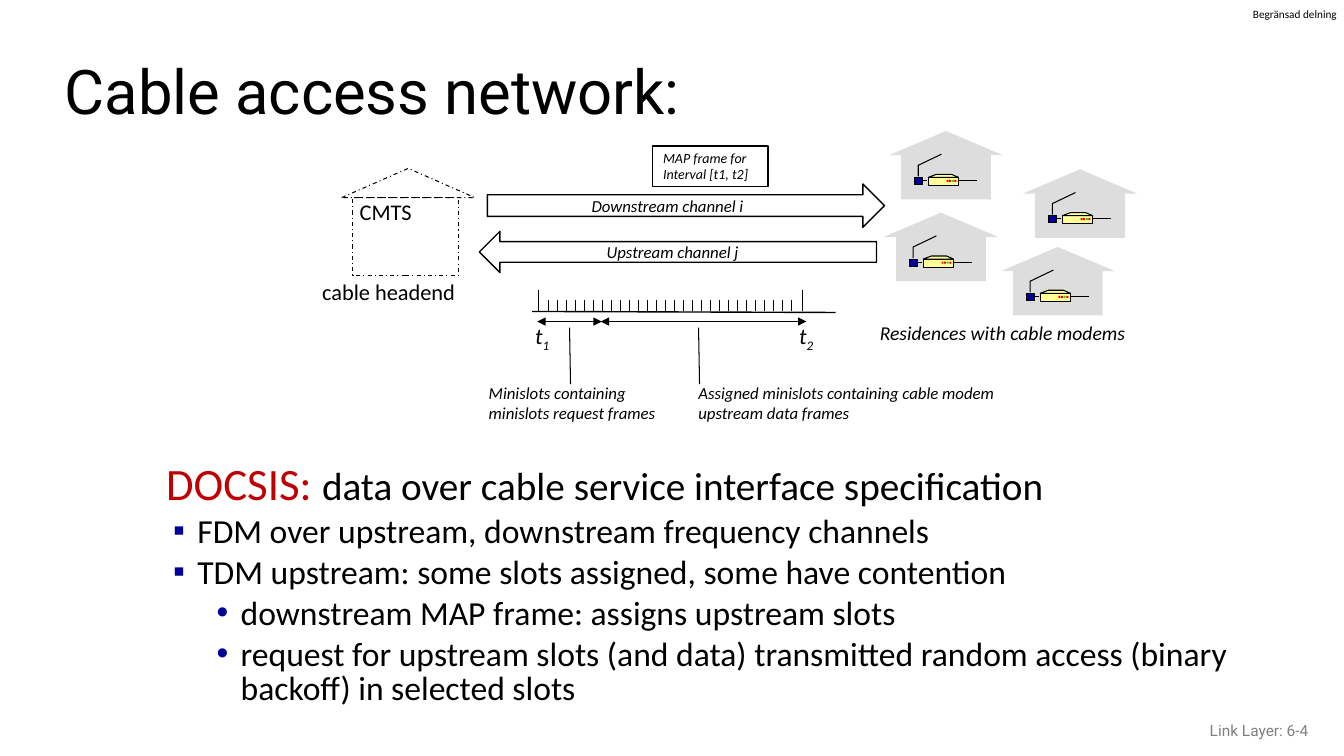
from dataclasses import dataclass

from lxml.etree import SubElement
from pptx import Presentation
from pptx.dml.color import RGBColor
from pptx.enum.dml import MSO_LINE
from pptx.enum.shapes import MSO_CONNECTOR, MSO_SHAPE
from pptx.enum.text import MSO_ANCHOR, MSO_AUTO_SIZE as FIT, PP_ALIGN as ALIGN
from pptx.oxml.ns import qn
from pptx.util import Inches, Pt

COLUMNS, ROWS = 133.33, 75


@dataclass(frozen=True)
class Theme:
    """Colours, fonts and type sizes of the slide."""
    black: str = "000000"
    grey: str = "808080"
    house: str = "DDDDDD"
    modem: str = "FFFF99"
    red: str = "FF0000"
    green: str = "33CC33"
    navy: str = "000099"
    accent: str = "C00000"
    heading_font: str = "Roboto"
    body_font: str = "Calibri"
    title: int = 44
    term: int = 32
    lead: int = 28
    body: int = 24
    label: int = 16
    caption: int = 14
    note: int = 12
    footer: int = 11
    frame: int = 10
    tag: int = 8
    thin: float = 0.75
    medium: float = 1


THEME = Theme()


def grid(value):
    """Convert grid cells, a tenth of an inch each, to a length."""
    return Inches(value / 10)


def colour(code):
    """Return the colour of a hex code."""
    return RGBColor.from_string(code)


def style(run, size, code=THEME.black, italic=False, font=THEME.body_font):
    """Format one run."""
    run.font.size = Pt(size)
    run.font.name = font
    run.font.italic = italic
    run.font.color.rgb = colour(code)


def add_text(shapes, at, text, size, code=THEME.black, italic=True, wrap=False,
             align=ALIGN.LEFT, spacing=None, font=THEME.body_font):
    """Add a text box with one format for all its lines."""
    shape = shapes.add_textbox(*map(grid, at))
    frame = shape.text_frame
    frame.text = text
    frame.word_wrap = wrap
    frame.auto_size = FIT.SHAPE_TO_FIT_TEXT
    for paragraph in frame.paragraphs:
        paragraph.alignment = align
        if spacing:
            paragraph.line_spacing = spacing
        for run in paragraph.runs:
            style(run, size, code, italic, font)
    return shape


def paint(shape, fill=None, width=None, dash=None):
    """Set the fill and outline of a shape and drop its shadow."""
    shape.shadow.inherit = False
    if fill:
        shape.fill.solid()
        shape.fill.fore_color.rgb = colour(fill)
    else:
        shape.fill.background()
    if width:
        shape.line.color.rgb = colour(THEME.black)
        shape.line.width = Pt(width)
        shape.line.dash_style = dash
    else:
        shape.line.fill.background()


def add_box(shapes, kind, at, **look):
    """Add a preset shape."""
    paint(shapes.add_shape(kind, *map(grid, at)), **look)


def add_path(shapes, points, closed=False, **look):
    """Add an outline through the given points."""
    corners = [tuple(map(grid, point)) for point in points]
    builder = shapes.build_freeform(*corners[0])
    builder.add_line_segments(corners[1:], close=closed)
    paint(builder.convert_to_shape(), **look)


def add_line(shapes, start, end, width=THEME.thin, arrows=False):
    """Add a straight line, with arrowheads at both ends if asked."""
    line = shapes.add_connector(MSO_CONNECTOR.STRAIGHT,
                                *map(grid, start + end))
    line.line.color.rgb = colour(THEME.black)
    line.line.width = Pt(width)
    if arrows:
        for tag in ("a:headEnd", "a:tailEnd"):
            SubElement(line.line._get_or_add_ln(), qn(tag), type="triangle")
    SubElement(line._element.spPr, qn("a:effectLst"))


def add_residence(slide, x, y):
    """Add a house with an antenna and a cable modem."""
    shapes = slide.shapes.add_group_shape().shapes
    add_box(shapes, MSO_SHAPE.ISOSCELES_TRIANGLE, (x, y, 11.3, 2.4),
            fill=THEME.house)
    add_box(shapes, MSO_SHAPE.RECTANGLE, (x + 1.2, y + 2.1, 8.9, 4.7),
            fill=THEME.house)
    for left, right in ((2.6, 3.8), (6.8, 8.7)):
        add_line(shapes, (x + left, y + 4.9), (x + right, y + 4.9))
    add_box(shapes, MSO_SHAPE.RECTANGLE, (x + 3.9, y + 4.6, 3, 0.8),
            fill=THEME.modem, width=THEME.thin)
    lamps = (THEME.red, THEME.red, THEME.green, THEME.red)
    for index, lamp in enumerate(lamps):
        add_box(shapes, MSO_SHAPE.RECTANGLE,
                (x + 5.7 + 0.26 * index, y + 4.85, 0.2, 0.2), fill=lamp)
    add_path(shapes, [(x + 3.9, y + 4.6), (x + 4.7, y + 4.3),
                      (x + 6.2, y + 4.3), (x + 6.9, y + 4.6)],
             closed=True, fill=THEME.modem, width=THEME.thin)
    add_box(shapes, MSO_SHAPE.RECTANGLE, (x + 2.5, y + 4.6, 0.8, 0.7),
            fill=THEME.navy, width=THEME.thin)
    add_path(shapes, [(x + 2.9, y + 4.5), (x + 2.9, y + 3.4),
                      (x + 5.2, y + 2.3)], width=THEME.thin)


def add_headend(slide):
    """Add the dashed house of the cable headend."""
    shapes = slide.shapes
    look = dict(width=THEME.thin, dash=MSO_LINE.DASH_DOT)
    add_box(shapes, MSO_SHAPE.RECTANGLE, (35, 19.6, 10.5, 7.7), **look)
    add_box(shapes, MSO_SHAPE.ISOSCELES_TRIANGLE, (33.9, 16.7, 13.2, 2.9), **look)
    add_text(shapes, (34.7, 19.2, 10.4, 3.7), "CMTS", THEME.label,
             italic=False, wrap=True)
    add_text(shapes, (28, 27.6, 21.1, 3.2), "cable headend", THEME.label,
             italic=False, wrap=True, align=ALIGN.CENTER, spacing=0.8)


def add_channels(slide):
    """Add the two channel arrows and the MAP frame."""
    shapes = slide.shapes
    add_box(shapes, MSO_SHAPE.RIGHT_ARROW, (48.35, 18.25, 39.4, 4.3),
            width=THEME.medium)
    add_box(shapes, MSO_SHAPE.LEFT_ARROW, (47.55, 22.95, 39.4, 4.1),
            width=THEME.medium)
    add_text(shapes, (57.7, 18.9, 17.3, 3), "Downstream channel i", THEME.note)
    add_text(shapes, (59.2, 23.5, 15.3, 3), "Upstream channel j", THEME.note)
    add_box(shapes, MSO_SHAPE.RECTANGLE, (64.7, 14.5, 11.5, 4),
            width=THEME.medium)
    add_text(shapes, (64.8, 14.3, 10.6, 4.4), "MAP frame for\nInterval [t1, t2]",
             THEME.frame, spacing=Pt(12))


def add_timeline(slide):
    """Add the row of minislots with its labels."""
    shapes = slide.shapes.add_group_shape().shapes
    axis, first, last, count = 30.9, 54.4, 78.5, 28
    add_line(shapes, (52.8, axis), (82.9, axis + 0.1), THEME.medium)
    for x in (53.4, 79.6):
        add_line(shapes, (x, 28.8), (x, axis), THEME.medium)
    for slot in range(count):
        x = first + slot * (last - first) / (count - 1)
        add_line(shapes, (x, 29.8), (x, axis), THEME.medium)
    for start, end in ((53.3, 59.7), (59.6, 80)):
        add_line(shapes, (start, 31.9), (end, 31.9), arrows=True)
    for x in (56.5, 69.3):
        add_line(shapes, (x, 32.5), (x + 0.1, 38.1))
    for x, number in ((52.1, "1"), (78.3, "2")):
        label = add_text(shapes, (x, 31.5, 3.5, 3.7), "t", THEME.label)
        subscript = label.text_frame.paragraphs[0].add_run()
        subscript.text = number
        style(subscript, THEME.label, italic=True)
        subscript._r.get_or_add_rPr().set("baseline", "-25000")
    add_text(shapes, (68.3, 37.5, 31.7, 5),
             "Assigned minislots containing cable modem\nupstream data frames",
             THEME.note)
    add_text(shapes, (47.5, 37.5, 18.7, 5),
             "Minislots containing\nminislots request frames", THEME.note)


def add_bullet(paragraph, level):
    """Give a paragraph the bullet and indent of its level."""
    properties = paragraph._p.get_or_add_pPr()
    properties.set("marL", str(grid((3.1, 7.4)[level])))
    properties.set("indent", str(grid(-2.4)))
    bullet_colour = SubElement(properties, qn("a:buClr"))
    SubElement(bullet_colour, qn("a:srgbClr"), val=THEME.navy)
    SubElement(properties, qn("a:buFont"), typeface="Arial")
    SubElement(properties, qn("a:buChar"), char="▪•"[level])
    paragraph.level = level


def add_body(slide):
    """Add the definition of DOCSIS and its bullets."""
    frame = slide.shapes.add_textbox(*map(grid, (15.5, 45.5, 108.7, 25))).text_frame
    frame.word_wrap = True
    heading = frame.paragraphs[0]
    heading.line_spacing = 0.85
    for text, size, code in (
            ("DOCSIS: ", THEME.term, THEME.accent),
            ("data over cable service interface specification", THEME.lead, THEME.black)):
        run = heading.add_run()
        run.text = text
        style(run, size, code)
    for level, text in (
            (0, "FDM over upstream, downstream frequency channels"),
            (0, "TDM upstream: some slots assigned, some have contention"),
            (1, "downstream MAP frame: assigns upstream slots"),
            (1, "request for upstream slots (and data) transmitted random access "
                "(binary backoff) in selected slots")):
        paragraph = frame.add_paragraph()
        add_bullet(paragraph, level)
        paragraph.text = text
        paragraph.line_spacing = 0.85
        paragraph.space_before = Pt(0.2 * THEME.body)
        style(paragraph.runs[0], THEME.body)


def add_title(slide):
    """Place and format the title."""
    title = slide.shapes.title
    title.left, title.top, title.width, title.height = map(grid, (5.4, 4.5, 126.3, 9.8))
    title.text_frame.text = "Cable access network:"
    title.text_frame.vertical_anchor = MSO_ANCHOR.MIDDLE
    paragraph = title.text_frame.paragraphs[0]
    paragraph.alignment = ALIGN.LEFT
    paragraph.line_spacing = 0.9
    style(paragraph.runs[0], THEME.title, font=THEME.heading_font)


def add_margins(slide):
    """Add the sharing tag and the footer."""
    tag = add_text(slide.shapes, (124.3, 0.7, 8.6, 1.3), "Begränsad delning",
                   THEME.tag, italic=False, wrap=False)
    frame = tag.text_frame
    frame.margin_left = frame.margin_right = frame.margin_top = frame.margin_bottom = 0
    footer = add_text(slide.shapes, (100.8, 70.5, 30, 4), "Link Layer: 6-4",
                      THEME.footer, THEME.grey, italic=False, wrap=True,
                      align=ALIGN.RIGHT, font=THEME.heading_font)
    footer.text_frame.auto_size = FIT.NONE
    footer.text_frame.vertical_anchor = MSO_ANCHOR.MIDDLE


def main():
    """Build and save the slide."""
    presentation = Presentation()
    presentation.slide_width, presentation.slide_height = grid(COLUMNS), grid(ROWS)
    slide = presentation.slides.add_slide(presentation.slide_layouts[5])
    add_title(slide)
    add_margins(slide)
    add_body(slide)
    add_channels(slide)
    add_timeline(slide)
    add_headend(slide)
    for x, y in ((88.2, 13), (101.5, 16.8), (99.3, 24.5), (87.7, 21.1)):
        add_residence(slide, x, y)
    add_text(slide.shapes, (86.3, 31.3, 26.7, 3.4), "Residences with cable modems",
             THEME.caption)
    presentation.save("out.pptx")


if __name__ == "__main__":
    main()
